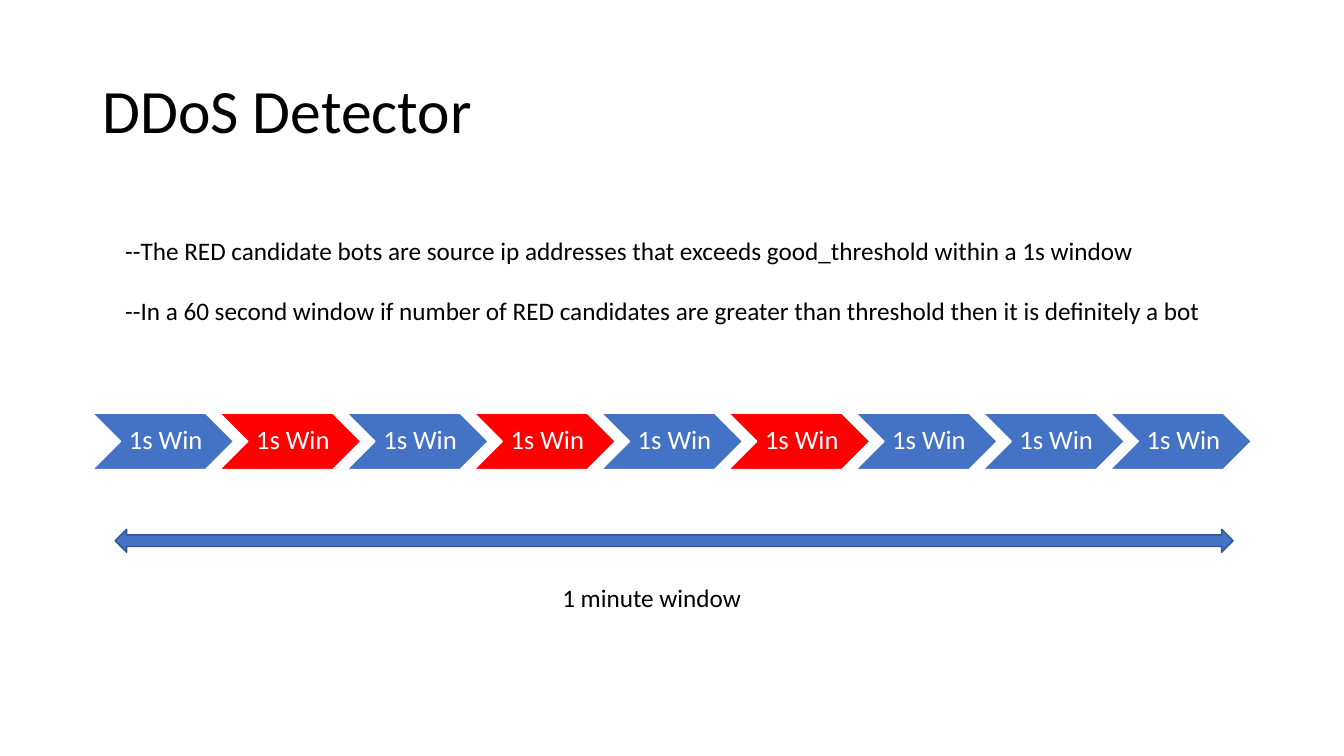
from lxml import etree
from pptx import Presentation
from pptx.dml.color import RGBColor
from pptx.enum.shapes import MSO_SHAPE
from pptx.enum.text import MSO_ANCHOR, MSO_AUTO_SIZE, PP_ALIGN
from pptx.oxml.ns import qn
from pptx.util import Inches, Pt

CHEVRON, ARROW = MSO_SHAPE.CHEVRON, MSO_SHAPE.LEFT_RIGHT_ARROW
TOP, MIDDLE = MSO_ANCHOR.TOP, MSO_ANCHOR.MIDDLE
LEFT, CENTER = PP_ALIGN.LEFT, PP_ALIGN.CENTER
NO_FIT = MSO_AUTO_SIZE.NONE

BLACK = RGBColor(0x00, 0x00, 0x00)
WHITE = RGBColor(0xFF, 0xFF, 0xFF)
BLUE = RGBColor(0x44, 0x72, 0xC4)
NAVY = RGBColor(0x32, 0x54, 0x91)
RED = RGBColor(0xFF, 0x00, 0x00)

FONT = "Calibri"
SLIDE_W, SLIDE_H = Inches(13.33), Inches(7.5)
COL, ROW = SLIDE_W / 160, SLIDE_H / 90
PITCH = 0.9

NOTES = [
    "--The RED candidate bots are source ip addresses that exceeds "
    "good_threshold within a 1s window",
    "--In a 60 second window if number of RED candidates are greater "
    "than threshold then it is definitely a bot",
]
WINDOWS = [BLUE, RED, BLUE, RED, BLUE, RED, BLUE, BLUE, BLUE]


def set_attrs(obj, values):
    """Set each named attribute of an object."""
    for name, value in values.items():
        setattr(obj, name, value)


def place(sp, box):
    """Move a shape to a box given in columns and rows."""
    x, y, w, h = box
    set_attrs(sp, {"left": round(x * COL), "top": round(y * ROW),
                   "width": round(w * COL), "height": round(h * ROW)})


def write(sp, lines, size, color=BLACK, align=LEFT, frame=None, para=None):
    """Write formatted paragraphs into a shape."""
    tf = sp.text_frame
    set_attrs(tf, {"word_wrap": True, "auto_size": NO_FIT, **(frame or {})})
    for i, line in enumerate(lines):
        p = tf.paragraphs[0] if i == 0 else tf.add_paragraph()
        set_attrs(p, {"alignment": align, "space_before": Pt(0), **(para or {})})
        r = p.add_run()
        r.text = line
        set_attrs(r.font, {"name": FONT, "size": Pt(size)})
        r.font.color.rgb = color


def add_preset(slide, preset, box, fill, line):
    """Add a flat preset shape."""
    sp = slide.shapes.add_shape(preset, 0, 0, 0, 0)
    place(sp, box)
    sp.shadow.inherit = False
    sp.fill.solid()
    sp.fill.fore_color.rgb = fill
    sp.line.color.rgb = line
    sp.line.width = Pt(1)
    return sp


def add_title(slide, box):
    """Fill the title placeholder."""
    sp = slide.shapes.title
    place(sp, box)
    write(sp, ["DDoS Detector"], 44, frame={"vertical_anchor": MIDDLE},
          para={"line_spacing": 0.9})


def add_notes(slide, box):
    """Fill the body placeholder with two unbulleted rules."""
    sp = slide.placeholders[1]
    place(sp, box)
    write(sp, NOTES, 18, frame={"vertical_anchor": TOP})
    for p in sp.text_frame.paragraphs:
        pPr = p._p.get_or_add_pPr()
        pPr.set("marL", "0")
        pPr.set("indent", "0")
        etree.SubElement(pPr, qn("a:buNone"))
    p.space_before = Pt(21.5)


def add_windows(slide, box):
    """Lay overlapping chevrons evenly across a box."""
    x, y, w, h = box
    step = w / (len(WINDOWS) - 1 + 1 / PITCH)
    frame = {"word_wrap": False, "vertical_anchor": MIDDLE,
             "margin_left": Inches(0.08), "margin_right": Inches(0.03),
             "margin_top": Inches(0.03), "margin_bottom": Inches(0.03)}
    for i, fill in enumerate(WINDOWS):
        sp = add_preset(slide, CHEVRON, (x + i * step, y, step / PITCH, h),
                        fill, WHITE)
        write(sp, ["1s Win"], 19, WHITE, CENTER, frame, {"line_spacing": 0.9})


def add_span(slide, box):
    """Draw the double arrow with its caption below."""
    x, y, w, h = box
    add_preset(slide, ARROW, (x, y, w, h), BLUE, NAVY)
    sp = slide.shapes.add_textbox(0, 0, 0, 0)
    place(sp, (x + 0.34 * w, y + 2.1 * h, 0.28 * w, 1.75 * h))
    write(sp, ["1 minute window"], 18, align=CENTER)


prs = Presentation()
set_attrs(prs, {"slide_width": SLIDE_W, "slide_height": SLIDE_H})
slide = prs.slides.add_slide(prs.slide_layouts[1])
add_title(slide, (11, 4.8, 138, 17.4))
add_windows(slide, (11, 49.2, 138, 6.7))
add_notes(slide, (13.7, 27.4, 131.8, 12.1))
add_span(slide, (13.7, 63, 133.1, 2.75))
prs.save("out.pptx")
